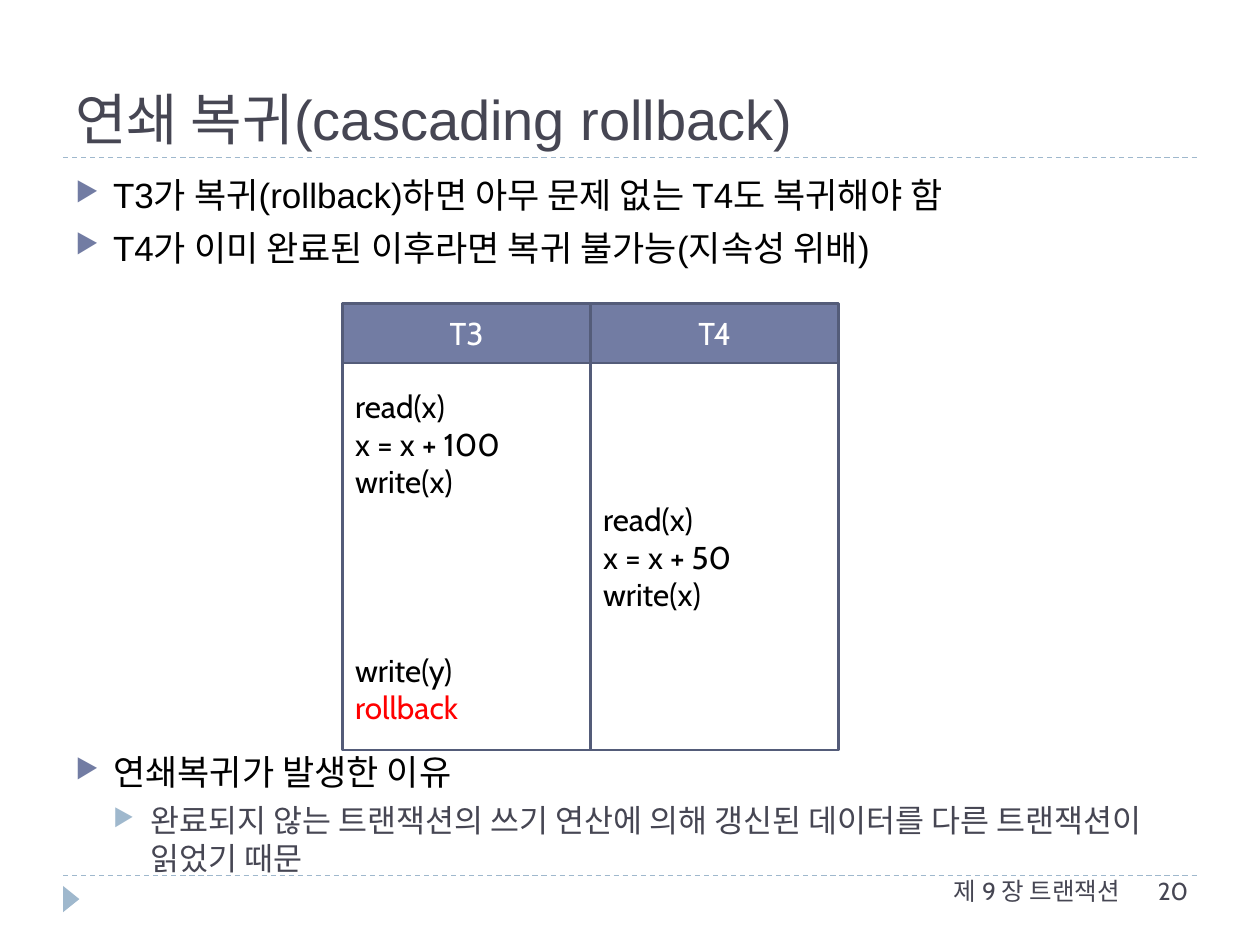
from dataclasses import dataclass
from typing import Optional

from lxml.etree import SubElement
from pptx import Presentation
from pptx.dml.color import RGBColor
from pptx.enum.dml import MSO_LINE
from pptx.enum.shapes import MSO_CONNECTOR, MSO_SHAPE
from pptx.enum.text import MSO_ANCHOR, PP_ALIGN
from pptx.oxml.ns import qn
from pptx.util import Cm, Pt


@dataclass(frozen=True)
class Theme:
    heading_font: str = "Arial"
    text_font: str = "Cabin"
    dark: str = "464653"
    black: str = "000000"
    white: str = "FFFFFF"
    alert: str = "FF0000"
    accent: str = "727CA3"
    border: str = "545C79"
    pale: str = "9FB8CD"
    title_size: int = 32
    bullet_size: int = 20
    text_size: int = 18
    footer_size: int = 14


THEME = Theme()


@dataclass(frozen=True)
class Frame:
    left: float
    top: float
    width: float
    height: float

    def lengths(self) -> tuple:
        return Cm(self.left), Cm(self.top), Cm(self.width), Cm(self.height)


@dataclass(frozen=True)
class Line:
    text: str
    size: int = THEME.text_size
    color: str = THEME.black
    font: str = THEME.text_font
    align: PP_ALIGN = PP_ALIGN.LEFT
    space_before: float = 0
    bullet: Optional[str] = None
    level: int = 0


@dataclass(frozen=True)
class Transaction:
    name: str
    steps: list


def point(text: str) -> Line:
    return Line(text, THEME.bullet_size, font=THEME.heading_font,
                space_before=6, bullet=THEME.accent)


def add_bullet(para, line: Line) -> None:
    indent = Cm(0.76)
    properties = para._p.get_or_add_pPr()
    properties.set("marL", str(indent * (line.level + 1)))
    properties.set("indent", str(-indent))
    color = SubElement(properties, qn("a:buClr"))
    SubElement(color, qn("a:srgbClr"), val=line.bullet)
    SubElement(properties, qn("a:buSzPct"), val="76000")
    SubElement(properties, qn("a:buChar"), char="▶")


def write_lines(box, lines: list, anchor: MSO_ANCHOR) -> None:
    frame = box.text_frame
    frame.word_wrap = True
    frame.vertical_anchor = anchor
    for index, line in enumerate(lines):
        para = frame.paragraphs[0] if index == 0 else frame.add_paragraph()
        para.alignment = line.align
        para.level = line.level
        para.space_before = Pt(line.space_before)
        if line.bullet:
            add_bullet(para, line)
        span = para.add_run()
        span.text = line.text
        span.font.name = line.font
        span.font.size = Pt(line.size)
        span.font.color.rgb = RGBColor.from_string(line.color)


def add_text(page, frame: Frame, lines: list, anchor=MSO_ANCHOR.TOP) -> None:
    write_lines(page.shapes.add_textbox(*frame.lengths()), lines, anchor)


def add_cell(page, frame: Frame, lines: list, fill: Optional[str] = None) -> None:
    box = page.shapes.add_shape(MSO_SHAPE.RECTANGLE, *frame.lengths())
    box.shadow.inherit = False
    if fill:
        box.fill.solid()
        box.fill.fore_color.rgb = RGBColor.from_string(fill)
    else:
        box.fill.background()
    box.line.color.rgb = RGBColor.from_string(THEME.border)
    box.line.width = Pt(1.5)
    write_lines(box, lines, MSO_ANCHOR.MIDDLE)


def add_schedule(page, transactions: list) -> None:
    """Draw one column per transaction: a name above its steps."""
    left, top, width, header, height = 6.91, 6.12, 5, 1.2, 7.8
    for index, transaction in enumerate(transactions):
        x = left + index * width
        name = Line(transaction.name, color=THEME.white, align=PP_ALIGN.CENTER)
        add_cell(page, Frame(x, top, width, header), [name], THEME.accent)
        add_cell(page, Frame(x, top + header, width, height), transaction.steps)


def add_rule(page, y: float) -> None:
    rule = page.shapes.add_connector(
        MSO_CONNECTOR.STRAIGHT, Cm(1.27), Cm(y), Cm(24.13), Cm(y))
    rule.line.color.rgb = RGBColor.from_string(THEME.pale)
    rule.line.width = Pt(0.75)
    rule.line.dash_style = MSO_LINE.DASH
    SubElement(rule._element.spPr, qn("a:effectLst"))


def add_corner_marker(page) -> None:
    marker = page.shapes.add_shape(
        MSO_SHAPE.ISOSCELES_TRIANGLE, *Frame(1.17, 17.96, 0.53, 0.33).lengths())
    marker.rotation = 90
    marker.shadow.inherit = False
    marker.fill.solid()
    marker.fill.fore_color.rgb = RGBColor.from_string(THEME.pale)
    marker.line.fill.background()


def main() -> None:
    deck = Presentation()
    deck.slide_width, deck.slide_height = Cm(25.4), Cm(19.05)
    page = deck.slides.add_slide(deck.slide_layouts[6])

    for y in (17.65, 3.18):
        add_rule(page, y)
    add_corner_marker(page)

    title = Line("연쇄 복귀(cascading rollback)", THEME.title_size,
                 THEME.dark, THEME.heading_font)
    add_text(page, Frame(1.27, 0.43, 22.86, 2.75), [title], MSO_ANCHOR.BOTTOM)
    add_text(page, Frame(1.27, 3.38, 22.86, 2.4), [
        point("T3가 복귀(rollback)하면 아무 문제 없는 T4도 복귀해야 함"),
        point("T4가 이미 완료된 이후라면 복귀 불가능(지속성 위배)"),
    ])
    add_text(page, Frame(1.27, 15.01, 22.86, 2.7), [
        point("연쇄복귀가 발생한 이유"),
        Line("완료되지 않는 트랜잭션의 쓰기 연산에 의해 갱신된 데이터를 "
             "다른 트랜잭션이 읽었기 때문",
             color=THEME.dark, space_before=5, bullet=THEME.pale, level=1),
    ])

    add_schedule(page, [
        Transaction("T3", [
            Line("read(x)"), Line("x = x + 100"), Line("write(x)"),
            Line("write(y)", space_before=86),
            Line("rollback", color=THEME.alert),
        ]),
        Transaction("T4", [
            Line("read(x)"), Line("x = x + 50"), Line("write(x)"),
        ]),
    ])

    add_text(page, Frame(13.18, 17.53, 9.65, 1.02), [
        Line("제 9 장 트랜잭션", THEME.footer_size, THEME.dark, align=PP_ALIGN.RIGHT)])
    add_text(page, Frame(23.09, 17.53, 1.8, 1.02), [
        Line("20", THEME.footer_size, THEME.dark)])

    deck.save("out.pptx")


if __name__ == "__main__":
    main()
